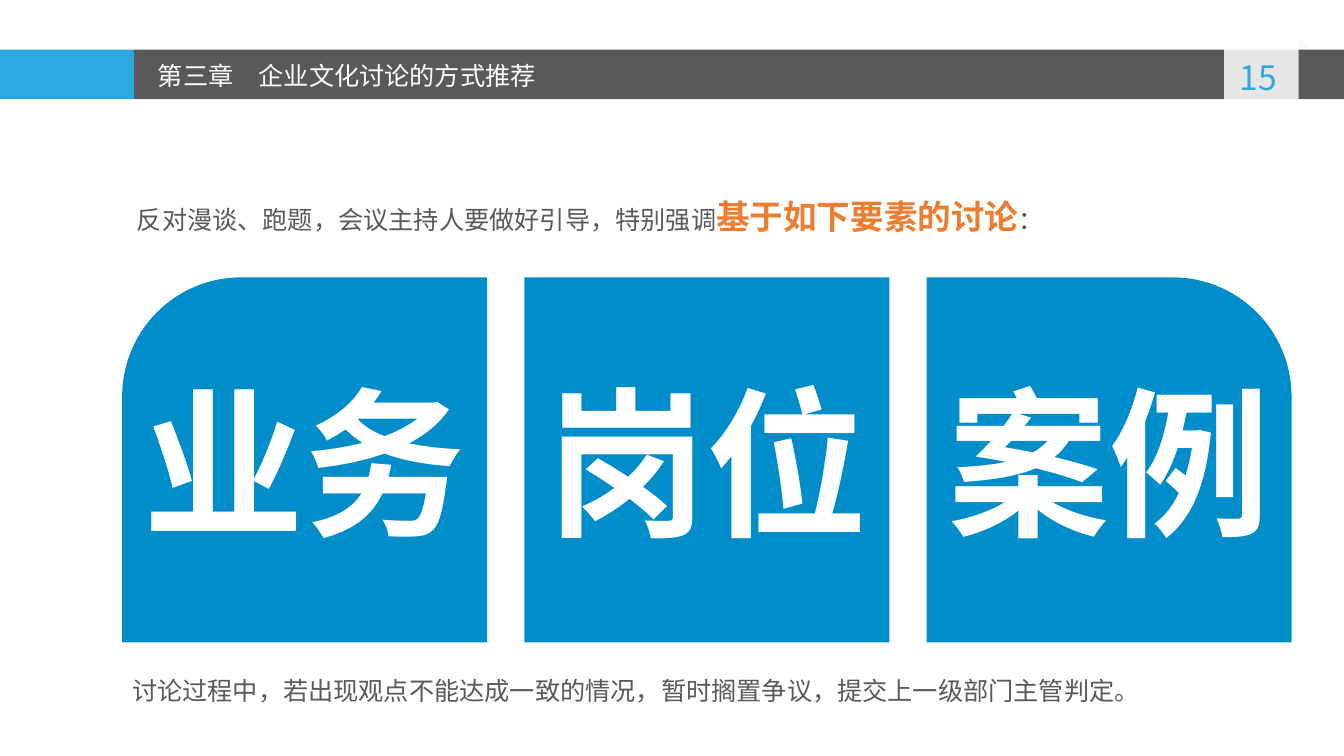
import math
from lxml import etree
from pptx import Presentation
from pptx import util as u
from pptx.dml.color import RGBColor
from pptx.enum import shapes, text
from pptx.oxml.ns import qn

SHAPE = shapes.MSO_SHAPE
ALIGN = text.PP_ALIGN
ANCHOR = text.MSO_ANCHOR


def rgb(value):
    return RGBColor.from_string(value)


class Deck:
    FONT = "Noto Sans CJK SC"
    BLUE, SKY, GREY = "008DCA", "2EA7E0", "595959"
    ORANGE, WHITE, PALE = "ED7D31", "FFFFFF", "F8F8F8"

    def __init__(self, width, height):
        self.prs = Presentation()
        self.prs.slide_width, self.prs.slide_height = u.Cm(width), u.Cm(height)
        self.slide = self.prs.slides.add_slide(self.prs.slide_layouts[5])

    def paint(self, sp, color, alpha=None):
        sp.shadow.inherit = False
        sp.fill.solid()
        sp.fill.fore_color.rgb = rgb(color)
        sp.line.fill.background()
        if alpha:
            clr = sp.element.spPr.find(qn("a:solidFill")).find(qn("a:srgbClr"))
            etree.SubElement(clr, qn("a:alpha")).set("val", str(alpha * 1000))
        return sp

    def shape(self, kind, x, y, w, h, color, alpha=None):
        sp = self.slide.shapes.add_shape(kind, u.Cm(x), u.Cm(y), u.Cm(w), u.Cm(h))
        return self.paint(sp, color, alpha)

    def rounded_card(self, x, y, side, radius, corner, color):
        angles = [math.radians(90 * i / 30) for i in range(31)]
        arc = [(radius * (1 - math.cos(a)), radius * (1 - math.sin(a))) for a in angles]
        points = arc + [(side, 0), (side, side), (0, side)]
        if corner == "right":
            points = [(side - px, py) for px, py in points]
        points = [(u.Cm(x + px), u.Cm(y + py)) for px, py in points]
        builder = self.slide.shapes.build_freeform(*points[0])
        builder.add_line_segments(points[1:], close=True)
        return self.paint(builder.convert_to_shape(), color)

    def fill_text(self, sp, runs, align=ALIGN.LEFT, anchor=ANCHOR.TOP, spacing=None):
        tf = sp.text_frame
        tf.word_wrap = True
        tf.auto_size = text.MSO_AUTO_SIZE.NONE
        tf.vertical_anchor = anchor
        tf.margin_left = tf.margin_right = u.Cm(0.25)
        tf.margin_top = tf.margin_bottom = u.Cm(0.13)
        p = tf.paragraphs[0]
        p.alignment = align
        p.space_before = u.Pt(0)
        if spacing:
            p.line_spacing = spacing
        for words, size, color, bold, font in runs:
            r = p.add_run()
            r.text = words
            r.font.size, r.font.bold, r.font.name = u.Pt(size), bold, font
            r.font.color.rgb = rgb(color)
            latin = r.font._element.find(qn("a:latin"))
            ea = etree.Element(qn("a:ea"))
            ea.set("typeface", self.FONT)
            latin.addnext(ea)

    def title(self, x, y, w, h, words):
        sp = self.slide.shapes.title
        sp.left, sp.top, sp.width, sp.height = u.Cm(x), u.Cm(y), u.Cm(w), u.Cm(h)
        self.fill_text(sp, [(words, 18, self.WHITE, False, self.FONT)])
        tree = self.slide.shapes.element
        tree.remove(sp.element)
        tree.append(sp.element)

    def textbox(self, x, y, w, h, runs, **style):
        sp = self.slide.shapes.add_textbox(u.Cm(x), u.Cm(y), u.Cm(w), u.Cm(h))
        self.fill_text(sp, runs, **style)


def main():
    d = Deck(33.88, 19.05)

    bar_top, bar_height, accent_width = 1.25, 1.25, 3.38
    d.shape(SHAPE.RECTANGLE, 0, bar_top, accent_width, bar_height, d.SKY)
    d.shape(SHAPE.RECTANGLE, accent_width, bar_top, 33.88 - accent_width, bar_height, d.GREY)
    d.shape(SHAPE.RIGHT_TRIANGLE, 32.74, 1, 0.3, 0.2, d.PALE, 83)
    d.shape(SHAPE.RECTANGLE, 30.86, 1.02, 1.88, 1.75, d.WHITE, 85)
    d.textbox(30.78, 1.3, 1.88, 1.3, [("15", 24, d.SKY, False, d.FONT)], align=ALIGN.CENTER)
    d.title(3.73, 1.4, 12.8, 1.02, "第三章　企业文化讨论的方式推荐")

    d.textbox(3.2, 4.8, 25, 1.27, [
        ("反对漫谈、跑题，会议主持人要做好引导，特别强调", 18, d.GREY, False, "Calibri"),
        ("基于如下要素的讨论", 24, d.ORANGE, True, d.FONT),
        ("：", 18, d.GREY, False, "Calibri"),
    ])

    left, top, side, pitch, radius = 3.08, 6.99, 9.2, 10.14, 3
    cards = [("业务", "left"), ("岗位", None), ("案例", "right")]
    for i, (word, corner) in enumerate(cards):
        x = left + i * pitch
        if corner:
            sp = d.rounded_card(x, top, side, radius, corner, d.BLUE)
        else:
            sp = d.shape(SHAPE.RECTANGLE, x, top, side, side, d.BLUE)
        d.fill_text(sp, [(word, 115, d.WHITE, True, d.FONT)],
                    align=ALIGN.CENTER, anchor=ANCHOR.MIDDLE)

    d.textbox(left, 16.74, 29.48, 1.17, [
        ("讨论过程中，若出现观点不能达成一致的情况，暂时搁置争议，提交上一级部门主管判定。",
         18, d.GREY, False, d.FONT),
    ], spacing=1.2)

    d.prs.save("out.pptx")


if __name__ == "__main__":
    main()
